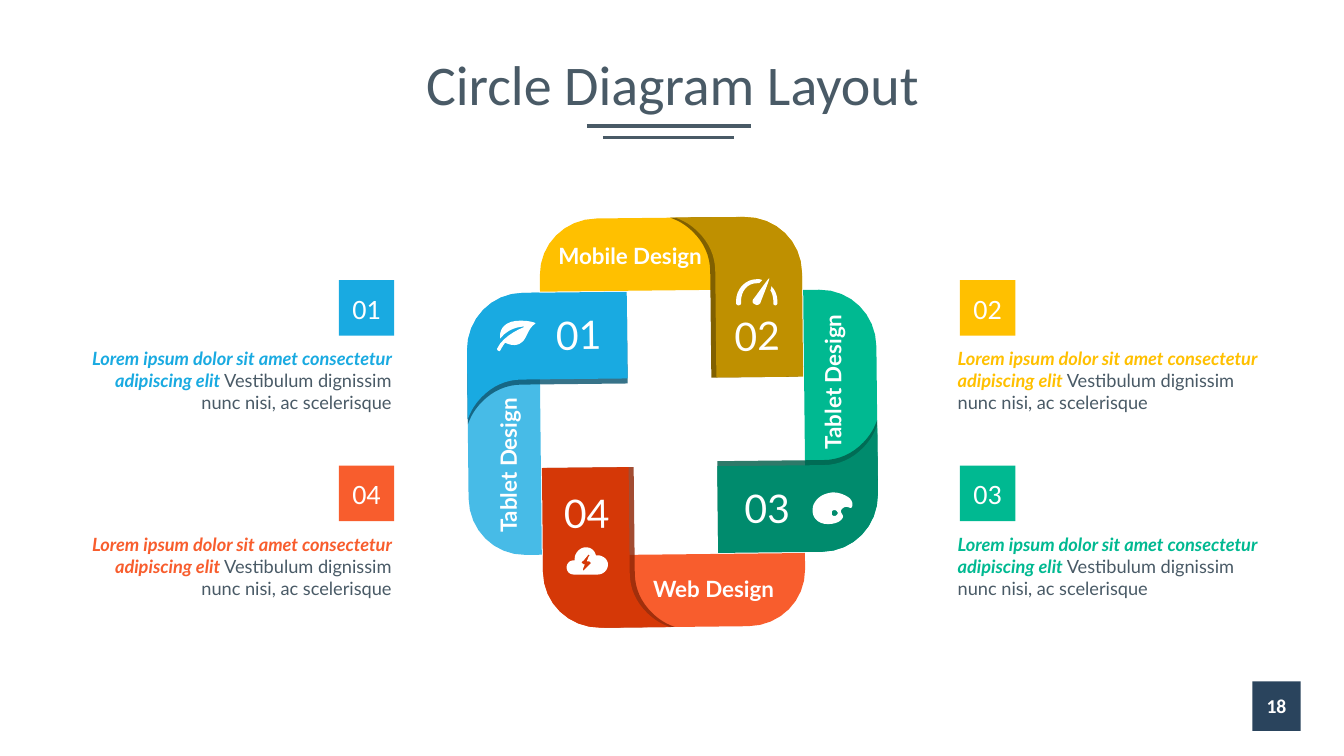
from dataclasses import dataclass
from math import cos, radians, sin

from pptx import Presentation
from pptx.dml.color import RGBColor
from pptx.enum.shapes import MSO_CONNECTOR as Connector, MSO_SHAPE as Preset
from pptx.enum.text import MSO_ANCHOR as Anchor, MSO_AUTO_SIZE as AutoSize, PP_ALIGN as Align
from pptx.oxml.ns import qn
from pptx.util import Inches, Pt


@dataclass(frozen=True)
class Theme:
    ink: str = "495A66"
    white: str = "FFFFFF"
    navy: str = "2A445D"
    blue: str = "19AAE1"
    yellow: str = "FFC000"
    green: str = "00B991"
    orange: str = "F85D2D"
    heading_font: str = "Calibri"
    body_font: str = "Lato"
    title: int = 40
    number: int = 28
    tile: int = 20
    label: int = 16
    page: int = 14
    body: int = 13


THEME = Theme()
CENTER = (6.67, 4.19)
TILT = -0.6
SHADOW_SHIFT = -0.05
CURVE_STEPS = 8

STRIP = [(-1.3, -1.31), (-1.3, -1.47), (-1.3, -1.78, -1.05, -2.03, -0.73, -2.03),
         (0.73, -2.03), (1.05, -2.03, 1.3, -1.78, 1.3, -1.47), (1.3, -1.31)]
FOLD = [(0.44, -0.44), (0.44, -1.49), (0.44, -1.65, 0.38, -1.78, 0.27, -1.89),
        (0.2, -1.96, 0.13, -2.0, 0.05, -2.03), (0.73, -2.03),
        (1.05, -2.03, 1.3, -1.78, 1.3, -1.47), (1.3, -0.44)]

ARMS = [
    (THEME.yellow, 100, "BF9000", "806000", 100),
    (THEME.green, 100, "008B6D", "005C48", 82),
    (THEME.orange, 100, "D53807", "8E2505", 82),
    (THEME.blue, 80, THEME.blue, "0C5570", 82),
]
NUMBERS = [("02", 7.28, 3.09), ("03", 7.38, 4.8), ("01", 5.51, 3.08), ("04", 5.59, 4.85)]
LABELS = [
    ("Mobile Design", 5.44, 2.35, 1.69, 0),
    ("Web Design", 6.38, 5.66, 1.46, 0),
    ("Tablet Design", 7.46, 3.57, 1.6, 270),
    ("Tablet Design", 4.24, 4.4, 1.6, 270),
]
CARDS = [
    ("01", THEME.blue, 3.36, 0.7, 2.78, Align.RIGHT),
    ("04", THEME.orange, 3.36, 0.7, 4.62, Align.RIGHT),
    ("02", THEME.yellow, 9.52, 9.4, 2.78, Align.LEFT),
    ("03", THEME.green, 9.52, 9.4, 4.62, Align.LEFT),
]
PALETTE = [
    [(8.41, 4.93), (8.34, 4.89, 8.27, 4.87, 8.19, 4.9), (8.12, 4.92, 8.06, 4.99, 8.06, 5.05),
     (8.05, 5.13, 8.11, 5.2, 8.21, 5.2), (8.33, 5.2, 8.36, 5.14, 8.36, 5.13),
     (8.37, 5.11, 8.32, 5.08, 8.35, 5.05), (8.39, 5.01, 8.42, 5.04, 8.44, 5.04),
     (8.46, 5.03, 8.47, 4.97, 8.41, 4.93)],
    [(8.28, 5.12), (8.25, 5.12, 8.25, 5.1, 8.25, 5.09), (8.25, 5.08, 8.25, 5.06, 8.28, 5.06),
     (8.29, 5.06, 8.31, 5.08, 8.31, 5.09), (8.31, 5.1, 8.29, 5.12, 8.28, 5.12)],
]
LEAF = [
    [(5.03, 3.21), (4.95, 3.26, 4.96, 3.33, 4.96, 3.36), (5.06, 3.23, 5.21, 3.24, 5.21, 3.24),
     (5.21, 3.24, 4.99, 3.32, 4.93, 3.46), (4.93, 3.48, 4.96, 3.49, 4.96, 3.48),
     (4.98, 3.44, 5.01, 3.4, 5.01, 3.4), (5.05, 3.42, 5.12, 3.44, 5.17, 3.4),
     (5.23, 3.36, 5.23, 3.26, 5.31, 3.21), (5.34, 3.2, 5.13, 3.15, 5.03, 3.21)],
]
CLOUD = [
    [(5.93, 5.51), (5.91, 5.51), (5.9, 5.46, 5.86, 5.43, 5.81, 5.43),
     (5.75, 5.43, 5.7, 5.49, 5.7, 5.54), (5.7, 5.56), (5.69, 5.56),
     (5.65, 5.56, 5.62, 5.59, 5.62, 5.63), (5.62, 5.67, 5.65, 5.7, 5.69, 5.7),
     (5.93, 5.7), (5.98, 5.7, 6.03, 5.66, 6.03, 5.6), (6.03, 5.55, 5.98, 5.51, 5.93, 5.51)],
    [(5.85, 5.6), (5.79, 5.66), (5.78, 5.66), (5.78, 5.65), (5.8, 5.6), (5.79, 5.6),
     (5.78, 5.59, 5.77, 5.59, 5.77, 5.58), (5.77, 5.57, 5.77, 5.57, 5.78, 5.57),
     (5.83, 5.51), (5.84, 5.5), (5.85, 5.51), (5.84, 5.52), (5.82, 5.57), (5.84, 5.57),
     (5.85, 5.57, 5.86, 5.58, 5.86, 5.59)],
]
GAUGE = [
    [(7.47, 2.97), (7.46, 2.99, 7.46, 3.01, 7.49, 3.02), (7.5, 3.03, 7.52, 3.03, 7.54, 3.01),
     (7.55, 2.98, 7.64, 2.76, 7.63, 2.76), (7.62, 2.76, 7.49, 2.95, 7.47, 2.97)],
    [(7.51, 2.81), (7.53, 2.81), (7.54, 2.8, 7.55, 2.79, 7.56, 2.78),
     (7.54, 2.77, 7.53, 2.77, 7.51, 2.77), (7.39, 2.77, 7.3, 2.87, 7.3, 2.99), (7.3, 3.01),
     (7.3, 3.02, 7.32, 3.03, 7.32, 3.03), (7.34, 3.03, 7.35, 3.02, 7.35, 3.01),
     (7.35, 2.99), (7.35, 2.89, 7.41, 2.81, 7.51, 2.81)],
    [(7.65, 2.84), (7.65, 2.85, 7.65, 2.87, 7.64, 2.88), (7.66, 2.91, 7.67, 2.95, 7.67, 2.99),
     (7.67, 3.01), (7.67, 3.02, 7.68, 3.03, 7.69, 3.03), (7.7, 3.03, 7.71, 3.02, 7.71, 3.01),
     (7.71, 2.99), (7.71, 2.93, 7.69, 2.88, 7.65, 2.84)],
]


def flatten(contour):
    points = [contour[0]]
    for segment in contour[1:]:
        if len(segment) == 2:
            points.append(segment)
            continue
        start, first, second, end = points[-1], segment[:2], segment[2:4], segment[4:]
        for step in range(1, CURVE_STEPS + 1):
            t = step / CURVE_STEPS
            weights = ((1 - t) ** 3, 3 * t * (1 - t) ** 2, 3 * t * t * (1 - t), t ** 3)
            points.append(tuple(sum(w * p[axis] for w, p in zip(weights, (start, first, second, end)))
                                for axis in (0, 1)))
    return points


def turn(contour, quarter, shift=0):
    angle = radians(90 * quarter + TILT)
    return [(CENTER[0] + (x + shift) * cos(angle) - y * sin(angle),
             CENTER[1] + (x + shift) * sin(angle) + y * cos(angle))
            for x, y in flatten(contour)]


def paint(shape, color, opacity=100):
    shape.shadow.inherit = False
    shape.line.fill.background()
    shape.fill.solid()
    shape.fill.fore_color.rgb = RGBColor.from_string(color)
    if opacity < 100:
        tint = shape.fill._xPr.find(qn("a:solidFill"))[0]
        tint.makeelement(qn("a:alpha"), {})
        alpha = tint.makeelement(qn("a:alpha"), {"val": str(opacity * 1000)})
        tint.append(alpha)


def add_outline(page, contours, color, opacity=100):
    outlines = [[(Inches(x), Inches(y)) for x, y in points] for points in contours]
    builder = page.shapes.build_freeform(*outlines[0][0], scale=1.0)
    builder.add_line_segments(outlines[0][1:], close=True)
    for points in outlines[1:]:
        builder.move_to(*points[0])
        builder.add_line_segments(points[1:], close=True)
    paint(builder.convert_to_shape(), color, opacity)


def style(font, size, color, name, bold=False, italic=False):
    font.size, font.name, font.bold, font.italic = Pt(size), name, bold, italic
    font.color.rgb = RGBColor.from_string(color)


def add_title(page, text):
    title = page.shapes.title
    title.left, title.top, title.width, title.height = map(Inches, (0.92, 0.48, 11.5, 0.78))
    frame = title.text_frame
    frame.text = text
    frame.auto_size, frame.vertical_anchor = AutoSize.NONE, Anchor.MIDDLE
    frame.margin_left = frame.margin_right = Inches(0.04)
    para = frame.paragraphs[0]
    para.alignment, para.line_spacing = Align.CENTER, 0.9
    style(para.font, THEME.title, THEME.ink, THEME.heading_font)


def add_rule(page, left, right, y):
    rule = page.shapes.add_connector(Connector.STRAIGHT, *map(Inches, (left, y, right, y)))
    rule.line.width = Pt(2.25)
    rule.line.color.rgb = RGBColor.from_string(THEME.ink)
    properties = rule._element.spPr
    properties.append(properties.makeelement(qn("a:effectLst"), {}))


def add_tile(page, text, left, top, width, height, color, size, bold=False):
    tile = page.shapes.add_shape(Preset.RECTANGLE, *map(Inches, (left, top, width, height)))
    paint(tile, color)
    tile.text_frame.text = text
    tile.text_frame.vertical_anchor = Anchor.MIDDLE
    para = tile.text_frame.paragraphs[0]
    para.alignment = Align.CENTER
    style(para.font, size, THEME.white, THEME.heading_font, bold)


def add_text(page, left, top, width, height, wrap=False, rotation=0):
    box = page.shapes.add_textbox(*map(Inches, (left, top, width, height)))
    box.rotation = rotation
    box.text_frame.word_wrap = wrap
    box.text_frame.auto_size = AutoSize.SHAPE_TO_FIT_TEXT
    return box.text_frame


def add_number(page, text, left, top):
    frame = add_text(page, left, top, 0.46, 0.47, rotation=360 + TILT)
    frame.margin_left = frame.margin_right = frame.margin_top = frame.margin_bottom = 0
    frame.vertical_anchor = Anchor.BOTTOM
    frame.text = text
    frame.paragraphs[0].alignment = Align.CENTER
    style(frame.paragraphs[0].font, THEME.number, THEME.white, THEME.body_font)


def add_label(page, text, left, top, width, rotation):
    frame = add_text(page, left, top, width, 0.37, rotation=rotation)
    frame.text = text
    style(frame.paragraphs[0].font, THEME.label, THEME.white, THEME.body_font, bold=True)


def add_card(page, number, color, tile_left, text_left, top, alignment):
    add_tile(page, number, tile_left, top, 0.55, 0.55, color, THEME.tile)
    para = add_text(page, text_left, top + 0.62, 3.28, 0.76, wrap=True).paragraphs[0]
    para.alignment = alignment
    lead, rest = para.add_run(), para.add_run()
    lead.text = "Lorem ipsum dolor sit amet consectetur adipiscing elit "
    rest.text = "Vestibulum dignissim nunc nisi, ac scelerisque"
    style(lead.font, THEME.body, color, THEME.body_font, bold=True, italic=True)
    style(rest.font, THEME.body, THEME.ink, THEME.body_font)


def add_ring(page):
    for quarter, (strip, opacity, *_) in enumerate(ARMS):
        add_outline(page, [turn(STRIP, quarter)], strip, opacity)
    for quarter, (*_, fold, shadow, opacity) in enumerate(ARMS):
        add_outline(page, [turn(FOLD, quarter, SHADOW_SHIFT)], shadow, opacity)
        add_outline(page, [turn(FOLD, quarter)], fold)


def main():
    deck = Presentation()
    deck.slide_width, deck.slide_height = Inches(13.33), Inches(7.5)
    page = deck.slides.add_slide(deck.slide_layouts[5])
    add_title(page, "Circle Diagram Layout")
    add_tile(page, "18", 12.42, 6.76, 0.48, 0.49, THEME.navy, THEME.page, bold=True)
    add_rule(page, 5.82, 7.45, 1.25)
    add_rule(page, 5.98, 7.28, 1.36)
    add_ring(page)
    for number in NUMBERS:
        add_number(page, *number)
    for label in LABELS:
        add_label(page, *label)
    for icon in (PALETTE, LEAF, CLOUD, GAUGE):
        add_outline(page, [flatten(contour) for contour in icon], THEME.white)
    for card in CARDS:
        add_card(page, *card)
    deck.save("out.pptx")


if __name__ == "__main__":
    main()
